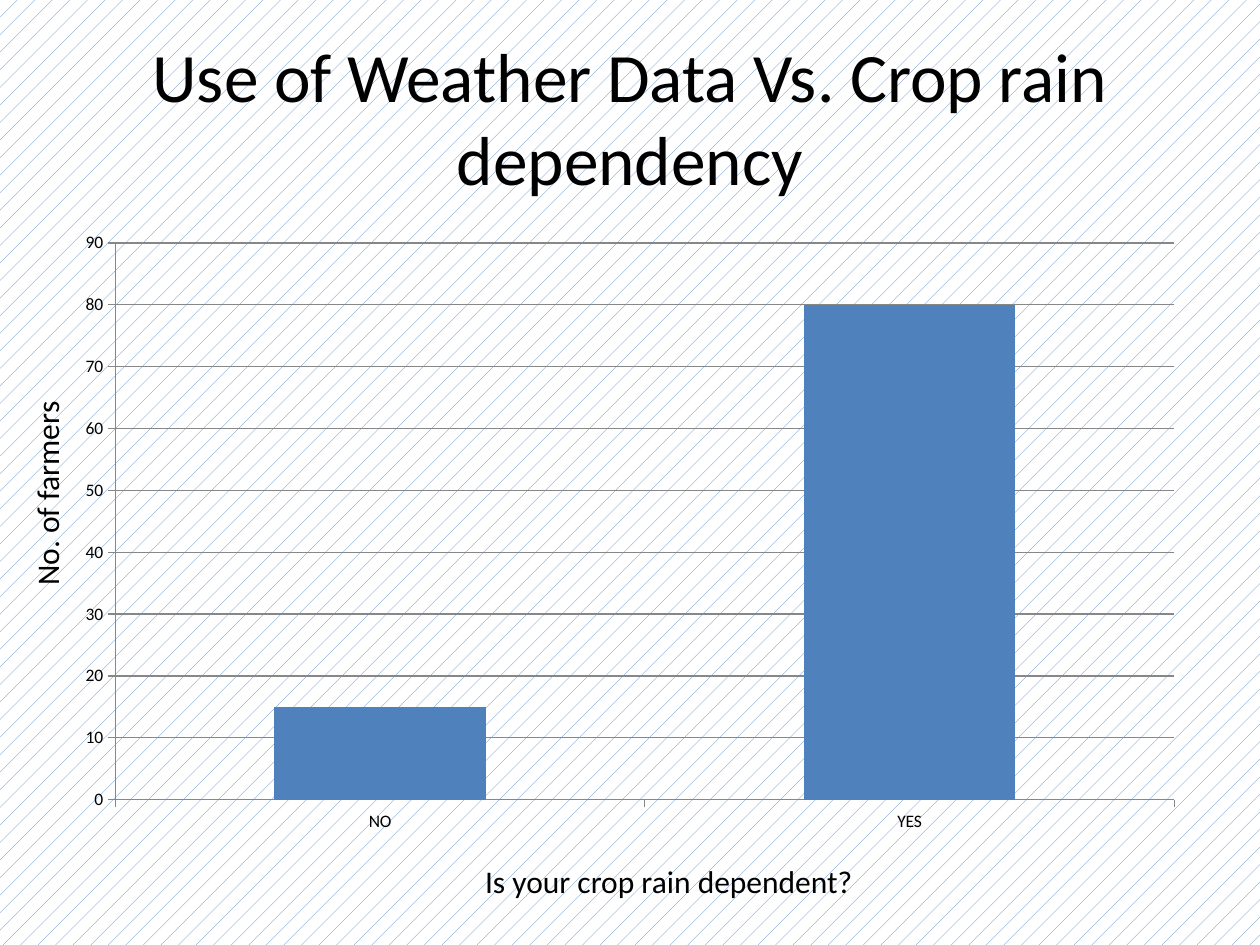
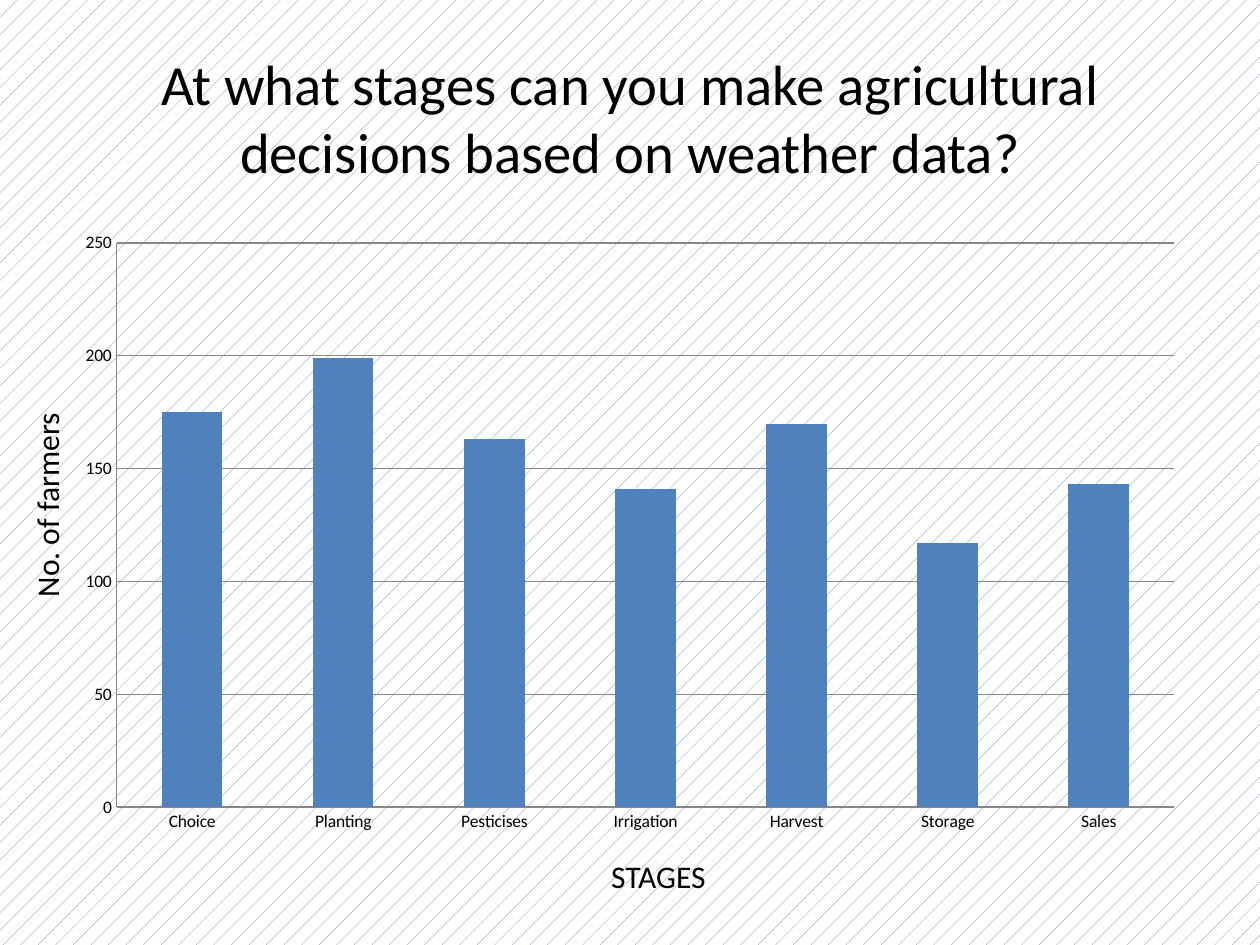
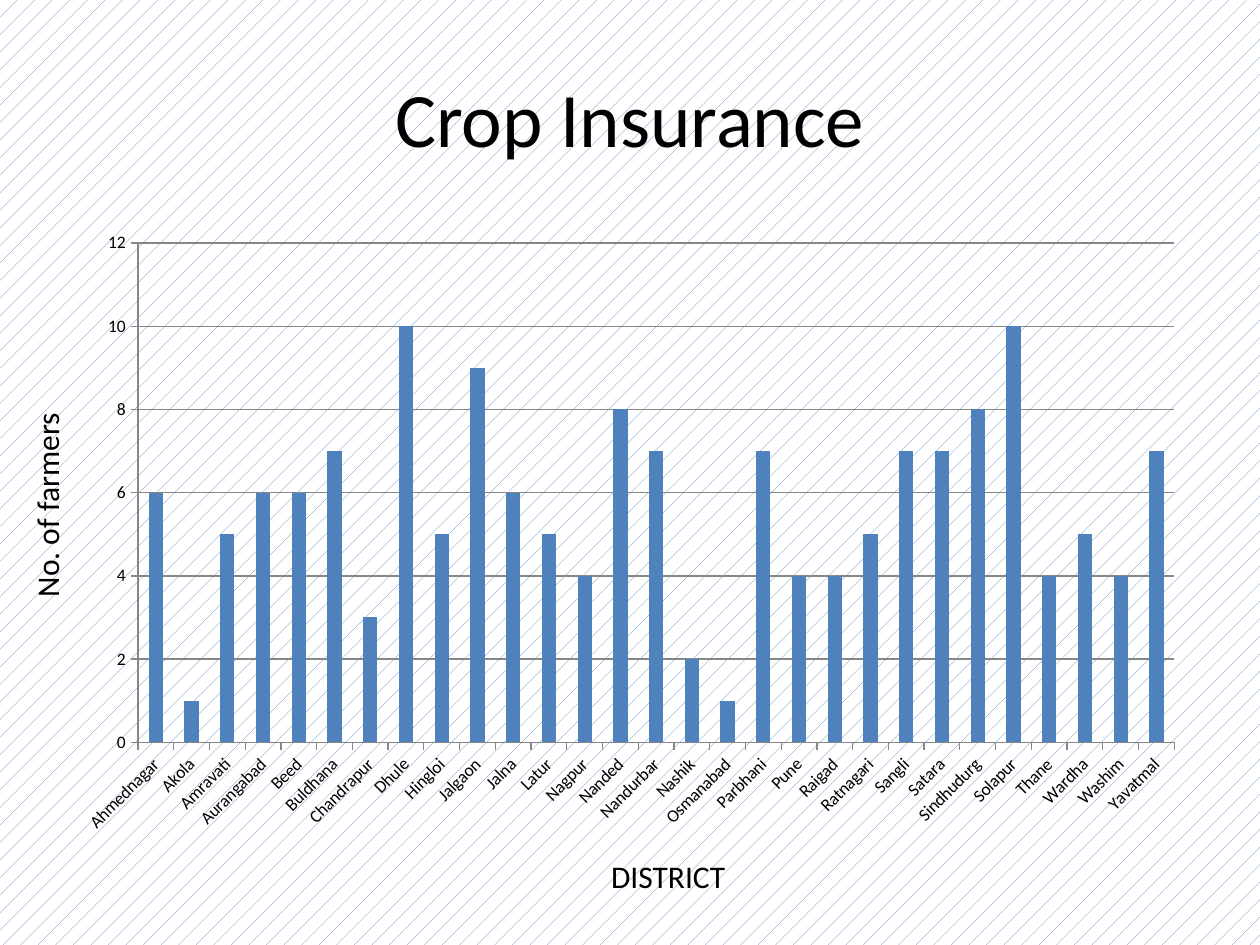
from pptx import Presentation
from pptx.chart.data import CategoryChartData
from pptx.dml.color import RGBColor
from pptx.enum.chart import XL_CHART_TYPE, XL_TICK_MARK
from pptx.enum.dml import MSO_PATTERN
from pptx.enum.text import MSO_ANCHOR, MSO_AUTO_SIZE, PP_ALIGN
from pptx.util import Cm, Pt

# Shared style
FONT = "Calibri"
BLACK = RGBColor(0x00, 0x00, 0x00)
WHITE = RGBColor(0xFF, 0xFF, 0xFF)
BLUE = RGBColor(0x4F, 0x81, 0xBD)
GREY = RGBColor(0x87, 0x87, 0x87)
LEFT, WIDTH = Cm(1.27), Cm(22.86)
TITLE_ONLY = 5

# Survey answers
RAIN_DEPENDENT = {"NO": 15, "YES": 80}
STAGES = {"Choice": 175, "Planting": 199, "Pesticises": 163, "Irrigation": 141,
          "Harvest": 170, "Storage": 117, "Sales": 143}
INSURED = {
    "Ahmednagar": 6, "Akola": 1, "Amravati": 5, "Aurangabad": 6, "Beed": 6,
    "Buldhana": 7, "Chandrapur": 3, "Dhule": 10, "Hingloi": 5, "Jalgaon": 9,
    "Jalna": 6, "Latur": 5, "Nagpur": 4, "Nanded": 8, "Nandurbar": 7,
    "Nashik": 2, "Osmanabad": 1, "Parbhani": 7, "Pune": 4, "Raigad": 4,
    "Ratnagari": 5, "Sangli": 7, "Satara": 7, "Sindhudurg": 8, "Solapur": 10,
    "Thane": 4, "Wardha": 5, "Washim": 4, "Yavatmal": 7,
}


def format_font(font, size):
    font.name = FONT
    font.size = Pt(size)
    font.color.rgb = BLACK


def write_text(frame, text, size=18, align=PP_ALIGN.LEFT, anchor=MSO_ANCHOR.TOP,
               fit=MSO_AUTO_SIZE.SHAPE_TO_FIT_TEXT, wrap=True):
    frame.word_wrap = wrap
    frame.auto_size = fit
    frame.vertical_anchor = anchor
    paragraph = frame.paragraphs[0]
    paragraph.alignment = align
    run = paragraph.add_run()
    run.text = text
    format_font(run.font, size)


def set_background(master):
    fill = master.background.fill
    fill.patterned()
    fill.pattern = MSO_PATTERN.PERCENT_5
    fill.fore_color.rgb = BLUE
    fill.back_color.rgb = WHITE


def add_title(slide, text, size):
    title = slide.shapes.title
    title.left, title.top, title.width, title.height = LEFT, Cm(0.76), WIDTH, Cm(3.18)
    write_text(title.text_frame, text, size=size, align=PP_ALIGN.CENTER,
               anchor=MSO_ANCHOR.MIDDLE, fit=MSO_AUTO_SIZE.NONE)


def add_axis_label(slide, text, left, top, width, rotation=0):
    label = slide.shapes.add_textbox(Cm(left), Cm(top), Cm(width), Cm(1.03))
    label.rotation = rotation
    write_text(label.text_frame, text, wrap=not rotation)


def add_column_chart(slide, answers, scale_max, step, tick):
    data = CategoryChartData()
    data.categories = list(answers)
    data.add_series("Series 1", list(answers.values()))
    chart = slide.shapes.add_chart(XL_CHART_TYPE.COLUMN_CLUSTERED, LEFT, Cm(4.45),
                                   WIDTH, Cm(12.57), data).chart
    chart.has_legend = False
    chart.has_title = False
    format_font(chart.font, 10)

    # Columns
    plot = chart.plots[0]
    plot.gap_width = 150
    plot.vary_by_categories = False
    columns = plot.series[0].format.fill
    columns.solid()
    columns.fore_color.rgb = BLUE

    # Axes and gridlines
    farmers = chart.value_axis
    farmers.minimum_scale, farmers.maximum_scale = 0, scale_max
    farmers.major_unit = step
    farmers.has_major_gridlines = True
    for axis in (chart.category_axis, farmers):
        axis.major_tick_mark = tick
        axis.minor_tick_mark = XL_TICK_MARK.NONE
    for part in (chart.category_axis, farmers, farmers.major_gridlines):
        part.format.line.color.rgb = GREY
        part.format.line.width = Pt(0.75)


def add_survey_slide(prs, title, title_size, answers, scale_max, step, category_label,
                     label_box=(12.07, 17.15, 7.82), farmers_top=9.65,
                     tick=XL_TICK_MARK.OUTSIDE):
    slide = prs.slides.add_slide(prs.slide_layouts[TITLE_ONLY])
    add_title(slide, title, title_size)
    add_column_chart(slide, answers, scale_max, step, tick)
    add_axis_label(slide, "No. of farmers", -1.17, farmers_top, 4.24, rotation=270)
    add_axis_label(slide, category_label, *label_box)


def main():
    prs = Presentation()
    prs.slide_width, prs.slide_height = Cm(25.4), Cm(19.05)
    set_background(prs.slide_master)

    add_survey_slide(prs, "Use of Weather Data Vs. Crop rain dependency", 39.6,
                     RAIN_DEPENDENT, 90, 10, "Is your crop rain dependent?",
                     label_box=(9.53, 17.25, 9.14), farmers_top=9.42)
    add_survey_slide(prs, "At what stages can you make agricultural decisions "
                     "based on weather data?", 32.4, STAGES, 250, 50, "STAGES",
                     tick=XL_TICK_MARK.NONE)
    add_survey_slide(prs, "Crop Insurance", 44, INSURED, 12, 2, "DISTRICT")
    prs.save("out.pptx")


if __name__ == "__main__":
    main()
